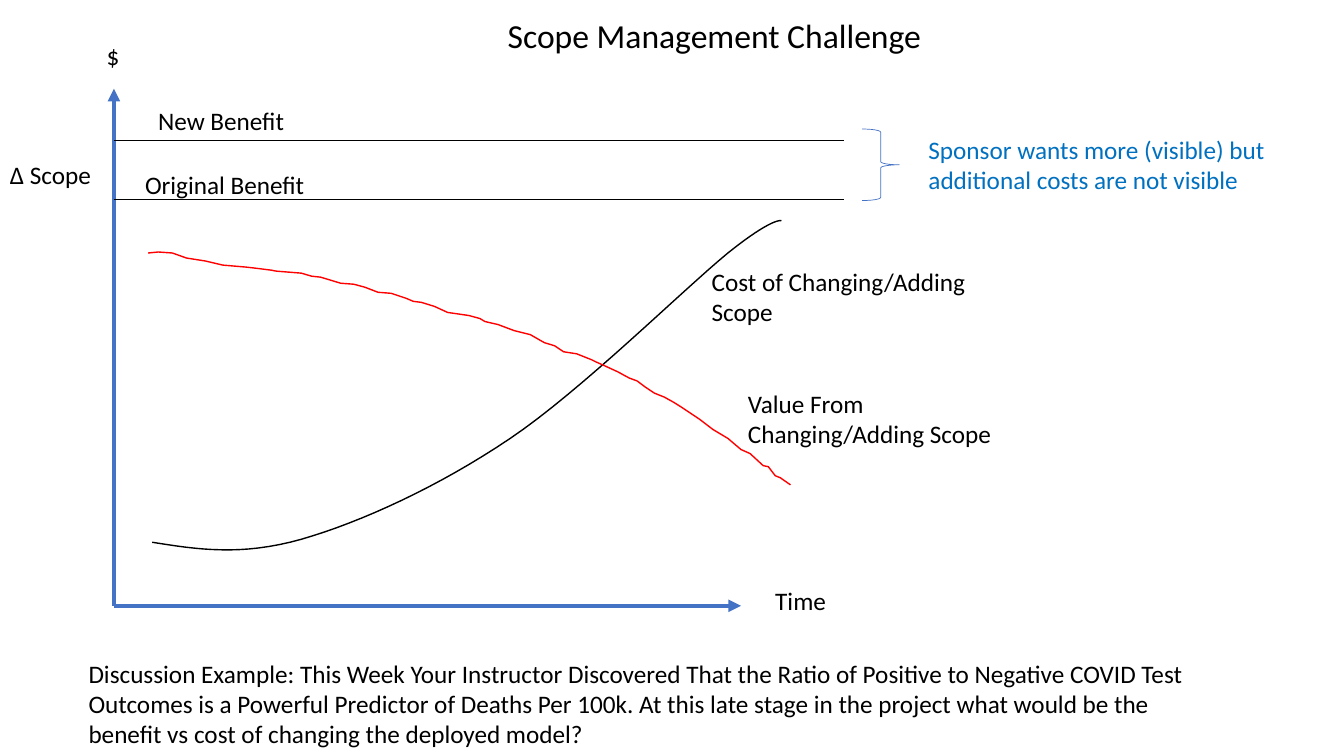
from lxml import etree
from pptx import Presentation
from pptx.dml.color import RGBColor
from pptx.enum.shapes import MSO_CONNECTOR, MSO_SHAPE
from pptx.enum.text import MSO_ANCHOR, MSO_AUTO_SIZE, PP_ALIGN
from pptx.oxml.ns import qn
from pptx.util import Inches, Pt

LINE = MSO_CONNECTOR.STRAIGHT
BRACE = MSO_SHAPE.RIGHT_BRACE
TOP = MSO_ANCHOR.TOP
GROW = MSO_AUTO_SIZE.SHAPE_TO_FIT_TEXT
LEFT, CENTER = PP_ALIGN.LEFT, PP_ALIGN.CENTER

BLACK = RGBColor(0, 0, 0)
RED = RGBColor(0xFF, 0, 0)
BLUE = RGBColor(0x44, 0x72, 0xC4)
SKY = RGBColor(0, 0x70, 0xC0)
FONT = "Calibri"
CELL = Inches(0.1)  # side of one grid square; all lengths below count squares

# Points are (column, row) from the top left corner of the plot
COST = [(3.8, 45), (8.2, 45.7), (12.6, 46.4), (18.6, 44.7), (24.5, 43),
        (32.2, 39.5), (39.3, 34.7), (46.3, 30), (56.4, 20), (60.9, 16.3),
        (65.4, 12.7), (66.2, 13.1), (66.2, 13.1)]
VALUE = [(3.4, 16.3), (4.4, 16.2), (5.8, 16.3), (7.2, 16.8), (9.1, 17.1),
         (10.8, 17.5), (13.1, 17.7), (14, 17.8), (15.6, 18), (16.1, 18.1),
         (18.6, 18.3), (19.6, 18.6), (20.5, 18.7), (22.5, 19.3), (23.8, 19.4),
         (24.9, 19.7), (26.2, 20.2), (27.5, 20.3), (29, 20.8), (29.7, 21.1),
         (30.5, 21.2), (31.8, 21.6), (33.1, 22.2), (35.2, 22.5), (36.3, 22.8),
         (36.8, 23.1), (38.1, 23.4), (39.7, 24), (41.3, 24.4), (42.7, 25.2),
         (43.7, 25.5), (44.6, 26.1), (45.9, 26.3), (47.4, 26.9), (47.8, 27.1),
         (48.7, 27.5), (50, 28.1), (51.1, 28.7), (51.9, 29), (52.7, 29.6),
         (53.6, 30.2), (54.6, 30.6), (55.5, 31.1), (56.3, 31.6), (58.1, 32.8),
         (59.4, 33.8), (60.9, 34.7), (62.2, 35.8), (63.1, 36.2), (64.4, 37.4),
         (64.9, 37.5), (65.6, 38.4), (66.1, 38.6), (67.1, 39.3)]
LABELS = [("$", -1.7, -5.3, 12.2, 4),
          ("Time", 64.6, 48.8, 12.2, 4),
          ("New Benefit", 3.4, 1.2, 35.3, 4),
          ("Original Benefit", 2.1, 7.5, 35.3, 4),
          ("∆ Scope", -11.3, 6.5, 35.3, 4),
          ("Cost of Changing/Adding Scope", 58.3, 17.1, 31.9, 7.1),
          ("Value From\vChanging/Adding Scope", 61.9, 29.2, 31.9, 7.1)]


def grid(*cells):
    return [round(n * CELL) for n in cells]


def write(frame, text, size=18, color=BLACK, align=LEFT):
    frame.text = text
    frame.word_wrap = True
    frame.auto_size = GROW
    frame.vertical_anchor = TOP
    para = frame.paragraphs[0]
    para.alignment = align
    font = para.font
    font.name, font.size, font.color.rgb = FONT, Pt(size), color


def label(slide, text, box, **style):
    write(slide.shapes.add_textbox(*grid(*box)).text_frame, text, **style)


def rule(slide, start, end, color=BLACK, width=0.5, arrow=False):
    """Draw a straight line, with an arrowhead at its end if asked."""
    line = slide.shapes.add_connector(LINE, *grid(*start, *end))
    line.line.color.rgb, line.line.width = color, Pt(width)
    if arrow:
        tip = etree.SubElement(line.line._get_or_add_ln(), qn("a:tailEnd"))
        tip.set("type", "triangle")
    etree.SubElement(line._element.spPr, qn("a:effectLst"))


def smooth(knots, steps=16):
    """Sample a chain of cubic Bezier arcs that share their end points."""
    points = [knots[0]]
    for i in range(0, len(knots) - 1, 3):
        arc = knots[i:i + 4]
        for step in range(1, steps + 1):
            t = step / steps
            u = 1 - t
            parts = (u ** 3, 3 * u * u * t, 3 * u * t * t, t ** 3)
            points.append(tuple(sum(p * k[axis] for p, k in zip(parts, arc))
                                for axis in (0, 1)))
    return points


def trace(slide, points, left, top, color):
    """Draw an open curve through points counted from left and top."""
    spots = [grid(left + x, top + y) for x, y in points]
    pen = slide.shapes.build_freeform(*spots[0])
    pen.add_line_segments(spots[1:], close=False)
    curve = pen.convert_to_shape()
    curve.shadow.inherit = False
    curve.fill.background()
    curve.line.color.rgb, curve.line.width = color, Pt(1)


def heading(slide, box):
    title = slide.shapes.title
    title.left, title.top, title.width, title.height = grid(*box)
    write(title.text_frame, "Scope Management Challenge", size=24, align=CENTER)


def plot(slide, box):
    left, top, width, height = box
    base = (left, top + height)
    for end in ((left, top), (left + width, top + height)):
        rule(slide, base, end, BLUE, 3, arrow=True)
    for row in (5.1, 11):
        rule(slide, (left, top + row), (left + 72.4, top + row))
    trace(slide, smooth(COST), left, top, BLACK)
    trace(slide, VALUE, left, top, RED)
    for text, x, y, w, h in LABELS:
        label(slide, text, (left + x, top + y, w, h))


def sponsor(slide, box):
    left, top, width, height = box
    brace = slide.shapes.add_shape(BRACE, *grid(left, top, 3.7, height))
    brace.shadow.inherit = False
    brace.fill.background()
    brace.line.color.rgb, brace.line.width = BLUE, Pt(0.5)
    label(slide, "Sponsor wants more (visible) but additional costs are not visible",
          (left + 5.6, top, width - 5.6, height), color=SKY)


def example(slide, box):
    label(slide, "Discussion Example: This Week Your Instructor Discovered That "
          "the Ratio of Positive to Negative COVID Test Outcomes is a Powerful "
          "Predictor of Deaths Per 100k. At this late stage in the project what "
          "would be the benefit vs cost of changing the deployed model?", box)


def main():
    deck = Presentation()
    deck.slide_width, deck.slide_height = Inches(13.33), Inches(7.5)
    slide = deck.slides.add_slide(deck.slide_layouts[5])
    heading(slide, (26.3, 1, 89.1, 5))
    plot(slide, (11.3, 8.8, 62.2, 51.3))
    sponsor(slide, (85.5, 12.8, 42.8, 7.1))
    example(slide, (7.8, 64.8, 113, 10.1))
    deck.save("out.pptx")


if __name__ == "__main__":
    main()
